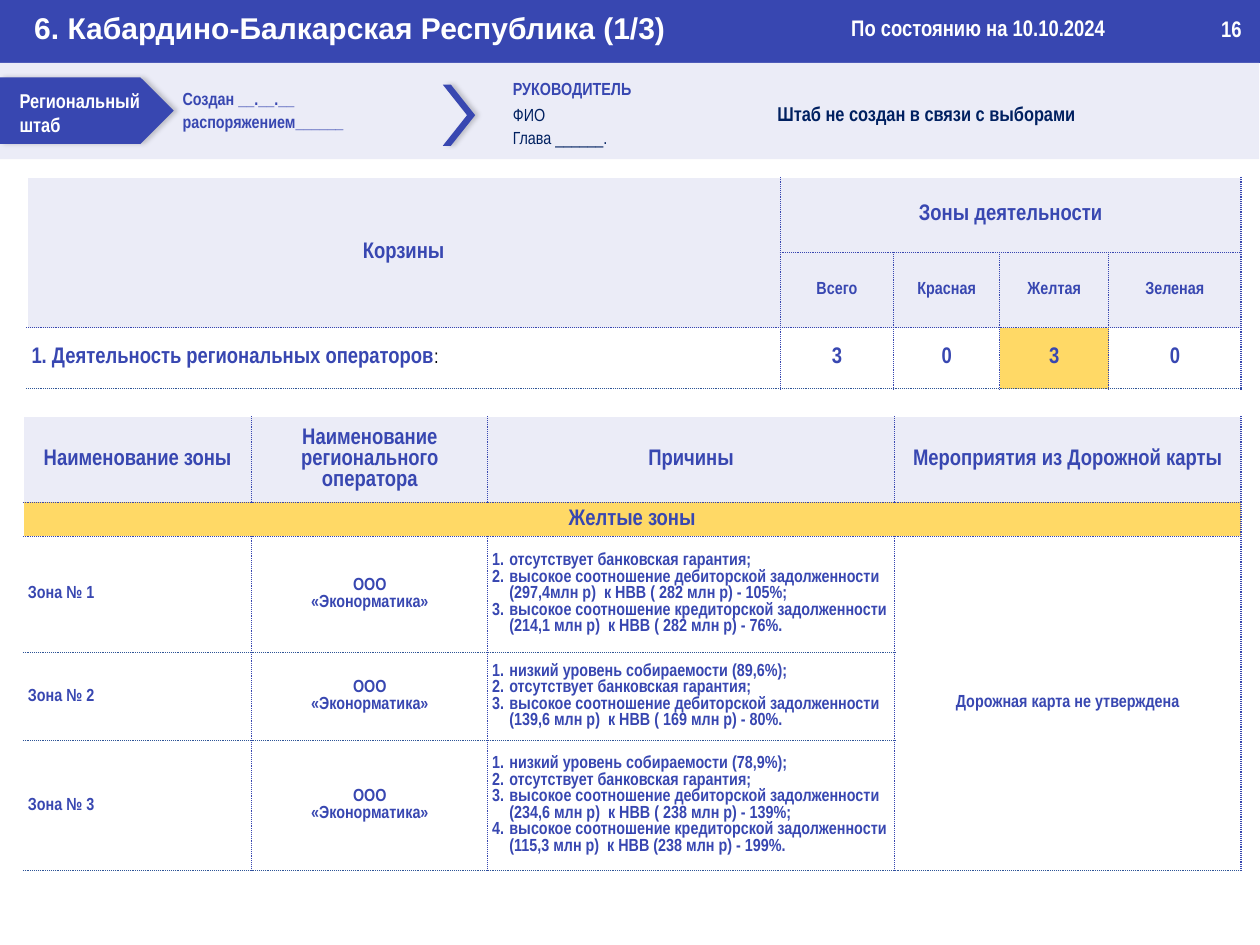
"""Builds the regional headquarters status slide for one region."""
from dataclasses import dataclass

from lxml import etree
from pptx import Presentation
from pptx import util as u
from pptx.dml.color import RGBColor
from pptx.enum import shapes, text
from pptx.oxml import ns, parse_xml

BLUE, NAVY, PALE, LINE = "3847B1", "002060", "EBECF7", "2F5597"
YELLOW, WHITE, BLACK = "FFD966", "FFFFFF", "000000"
CENTER, LEFT = text.PP_ALIGN.CENTER, text.PP_ALIGN.LEFT


@dataclass(frozen=True)
class Span:
    words: str
    size: float = 18
    color: str = BLUE
    bold: bool = True
    font: str = "Arial Narrow"


@dataclass(frozen=True)
class Box:
    left: float
    top: float
    width: float
    height: float


@dataclass(frozen=True)
class Cell:
    row: int
    col: int
    lines: list[list[Span]]
    fill: str = WHITE
    align: text.PP_ALIGN = CENTER
    rows: int = 1
    cols: int = 1
    numbered: bool = False


@dataclass(frozen=True)
class Zone:
    name: str
    reasons: list[str]


def rgb(value: str) -> RGBColor:
    return RGBColor.from_string(value)


def place(box: Box) -> list[u.Length]:
    return [u.Inches(side) for side in (box.left, box.top, box.width, box.height)]


def add_spans(paragraph, spans: list[Span]) -> None:
    for span in spans:
        run = paragraph.add_run()
        run.text = span.words
        run.font.name = span.font
        run.font.size = u.Pt(span.size)
        run.font.bold = span.bold
        run.font.color.rgb = rgb(span.color)


def fill_frame(frame, lines: list[list[Span]], spacing: float = 1.0, align=LEFT) -> None:
    for index, spans in enumerate(lines):
        paragraph = frame.add_paragraph() if index else frame.paragraphs[0]
        paragraph.alignment = align
        paragraph.line_spacing = spacing
        add_spans(paragraph, spans)


def add_label(slide, box: Box, lines: list[list[Span]], spacing=1.0, inset=0.1):
    frame = slide.shapes.add_textbox(*place(box)).text_frame
    frame.word_wrap = True
    frame.margin_left = u.Inches(inset)
    fill_frame(frame, lines, spacing)
    return frame


def add_block(slide, kind, box: Box, fill: str, shadow: bool = False):
    block = slide.shapes.add_shape(kind, *place(box))
    block.shadow.inherit = False
    block.fill.solid()
    block.fill.fore_color.rgb = rgb(fill)
    block.line.fill.background()
    if shadow:
        effects = block._element.spPr.find(ns.qn("a:effectLst"))
        effects.append(parse_xml(
            f'<a:outerShdw {ns.nsdecls("a")} blurRad="{u.Pt(4)}" dist="{u.Pt(3)}" dir="0">'
            f'<a:srgbClr val="{BLACK}"><a:alpha val="20000"/></a:srgbClr></a:outerShdw>'))
    return block


def add_border(cell, side: str, color: str) -> None:
    cell._tc.get_or_add_tcPr().append(parse_xml(
        f'<a:ln{side} {ns.nsdecls("a")} w="{u.Pt(1)}"><a:solidFill><a:srgbClr val="{color}"/>'
        f'</a:solidFill><a:prstDash val="sysDot"/></a:ln{side}>'))


def number_lines(frame) -> None:
    for paragraph in frame.paragraphs:
        props = paragraph._p.get_or_add_pPr()
        props.set("marL", str(u.Inches(0.19)))
        props.set("indent", str(u.Inches(-0.19)))
        etree.SubElement(props, ns.qn("a:buFont"), typeface="+mj-lt")
        etree.SubElement(props, ns.qn("a:buAutoNum"), type="arabicPeriod")


def add_grid(slide, box: Box, widths: list[float], heights: list[float],
             cells: list[Cell], head_rows: int) -> None:
    table = slide.shapes.add_table(len(heights), len(widths), *place(box)).table
    table.first_row = table.horz_banding = False
    for column, width in zip(table.columns, widths):
        column.width = u.Inches(width)
    for row, height in zip(table.rows, heights):
        row.height = u.Inches(height)
    for item in cells:
        for row in range(item.row, item.row + item.rows):
            for col in range(item.col, item.col + item.cols):
                part = table.cell(row, col)
                if col:
                    add_border(part, "L", BLUE)
                add_border(part, "R", BLUE)
                if row:
                    add_border(part, "T", LINE if row > head_rows else BLUE)
                add_border(part, "B", LINE if row >= head_rows else BLUE)
                part.fill.solid()
                part.fill.fore_color.rgb = rgb(item.fill)
        cell = table.cell(item.row, item.col)
        if item.rows * item.cols > 1:
            cell.merge(table.cell(item.row + item.rows - 1, item.col + item.cols - 1))
        cell.vertical_anchor = text.MSO_ANCHOR.MIDDLE
        cell.margin_left = cell.margin_right = u.Inches(0.05)
        cell.margin_top = cell.margin_bottom = u.Inches(0.02)
        fill_frame(cell.text_frame, item.lines, align=item.align)
        if item.numbered:
            number_lines(cell.text_frame)


def add_header(slide) -> None:
    add_block(slide, shapes.MSO_SHAPE.RECTANGLE, Box(0, 0, 14, 0.7), BLUE)
    title = Span("6. Кабардино-Балкарская Республика (1/3)", 24, WHITE, font="Arial")
    add_label(slide, Box(-0.01, 0.06, 13.99, 0.5), [[title]], inset=0.39)
    add_label(slide, Box(13.47, 0.12, 0.52, 0.4), [[Span("16", color=WHITE)]])
    add_label(slide, Box(9.36, 0.11, 4.23, 0.4),
              [[Span("По состоянию на 10.10.2024", color=WHITE)]])


def add_headquarters(slide) -> None:
    add_block(slide, shapes.MSO_SHAPE.RECTANGLE, Box(0, 0.7, 13.99, 1.07), PALE)
    add_block(slide, shapes.MSO_SHAPE.PENTAGON, Box(0, 0.86, 1.93, 0.74), BLUE, True)
    add_label(slide, Box(0.12, 0.93, 1.64, 0.64), [[Span("Региональный штаб", 16, WHITE)]])
    add_label(slide, Box(1.93, 0.9, 2.83, 0.62),
              [[Span("Создан __.__.__", 14)], [Span("распоряжением______", 14)]], 1.1)
    chevron = add_block(slide, shapes.MSO_SHAPE.CHEVRON, Box(4.92, 0.94, 0.36, 0.68), BLUE, True)
    chevron.adjustments[0] = 0.75
    leader = add_label(slide, Box(5.6, 0.79, 7.51, 0.92), [
        [Span("РУКОВОДИТЕЛЬ", 14)],
        [Span("ФИО\t", 14, NAVY, False), Span("Штаб не создан в связи с выборами", 16, NAVY)],
        [Span("Глава ______.", 14, NAVY, False)]], 1.1)
    stops = etree.SubElement(leader.paragraphs[1]._p.get_or_add_pPr(), ns.qn("a:tabLst"))
    etree.SubElement(stops, ns.qn("a:tab"), pos=str(u.Inches(2.94)), algn="l")


def add_baskets(slide) -> None:
    cells = [Cell(0, 0, [[Span("Корзины")]], PALE, rows=2),
             Cell(0, 1, [[Span("Зоны деятельности")]], PALE, cols=4),
             Cell(2, 0, [[Span("1. Деятельность региональных операторов"),
                          Span(":", 16, BLACK, False)]], align=LEFT)]
    counts = [("Всего", "3", WHITE), ("Красная", "0", WHITE),
              ("Желтая", "3", YELLOW), ("Зеленая", "0", WHITE)]
    for col, (zone, count, fill) in enumerate(counts, 1):
        cells += [Cell(1, col, [[Span(zone, 14)]], PALE), Cell(2, col, [[Span(count)]], fill)]
    add_grid(slide, Box(0.3, 1.97, 13.49, 2.35), [8.37, 1.26, 1.18, 1.21, 1.47],
             [0.84, 0.83, 0.68], cells, 2)


def add_zones(slide) -> None:
    debtors = "высокое соотношение дебиторской задолженности "
    creditors = "высокое соотношение кредиторской задолженности "
    guarantee = "отсутствует банковская гарантия;"
    zones = [
        Zone("Зона № 1", [guarantee, debtors + "(297,4млн р)  к НВВ ( 282 млн р) - 105%;",
                          creditors + "(214,1 млн р)  к НВВ ( 282 млн р) - 76%."]),
        Zone("Зона № 2", ["низкий уровень собираемости (89,6%);", guarantee,
                          debtors + "(139,6 млн р)  к НВВ ( 169 млн р) - 80%."]),
        Zone("Зона № 3", ["низкий уровень собираемости (78,9%);", guarantee,
                          debtors + "(234,6 млн р)  к НВВ ( 238 млн р) - 139%;",
                          creditors + "(115,3 млн р)  к НВВ (238 млн р) - 199%."])]
    headings = ["Наименование зоны", "Наименование регионального оператора",
                "Причины", "Мероприятия из Дорожной карты"]
    cells = [Cell(0, col, [[Span(words)]], PALE) for col, words in enumerate(headings)]
    cells += [Cell(1, 0, [[Span("Желтые зоны")]], YELLOW, cols=4),
              Cell(2, 3, [[Span("Дорожная карта не утверждена", 14)]], rows=3)]
    for row, zone in enumerate(zones, 2):
        cells += [Cell(row, 0, [[Span(zone.name, 14)]], align=LEFT),
                  Cell(row, 1, [[Span("ООО", 14)], [Span("«Эконорматика»", 14)]]),
                  Cell(row, 2, [[Span(reason, 14)] for reason in zone.reasons],
                       align=LEFT, numbered=True)]
    add_grid(slide, Box(0.26, 4.63, 13.53, 5.04), [2.54, 2.62, 4.52, 3.85],
             [0.95, 0.38, 1.29, 0.98, 1.44], cells, 2)


def main() -> None:
    deck = Presentation()
    deck.slide_width, deck.slide_height = u.Inches(14), u.Inches(10.5)
    slide = deck.slides.add_slide(deck.slide_layouts[6])
    for add_section in (add_header, add_headquarters, add_zones, add_baskets):
        add_section(slide)
    deck.save("out.pptx")


if __name__ == "__main__":
    main()
